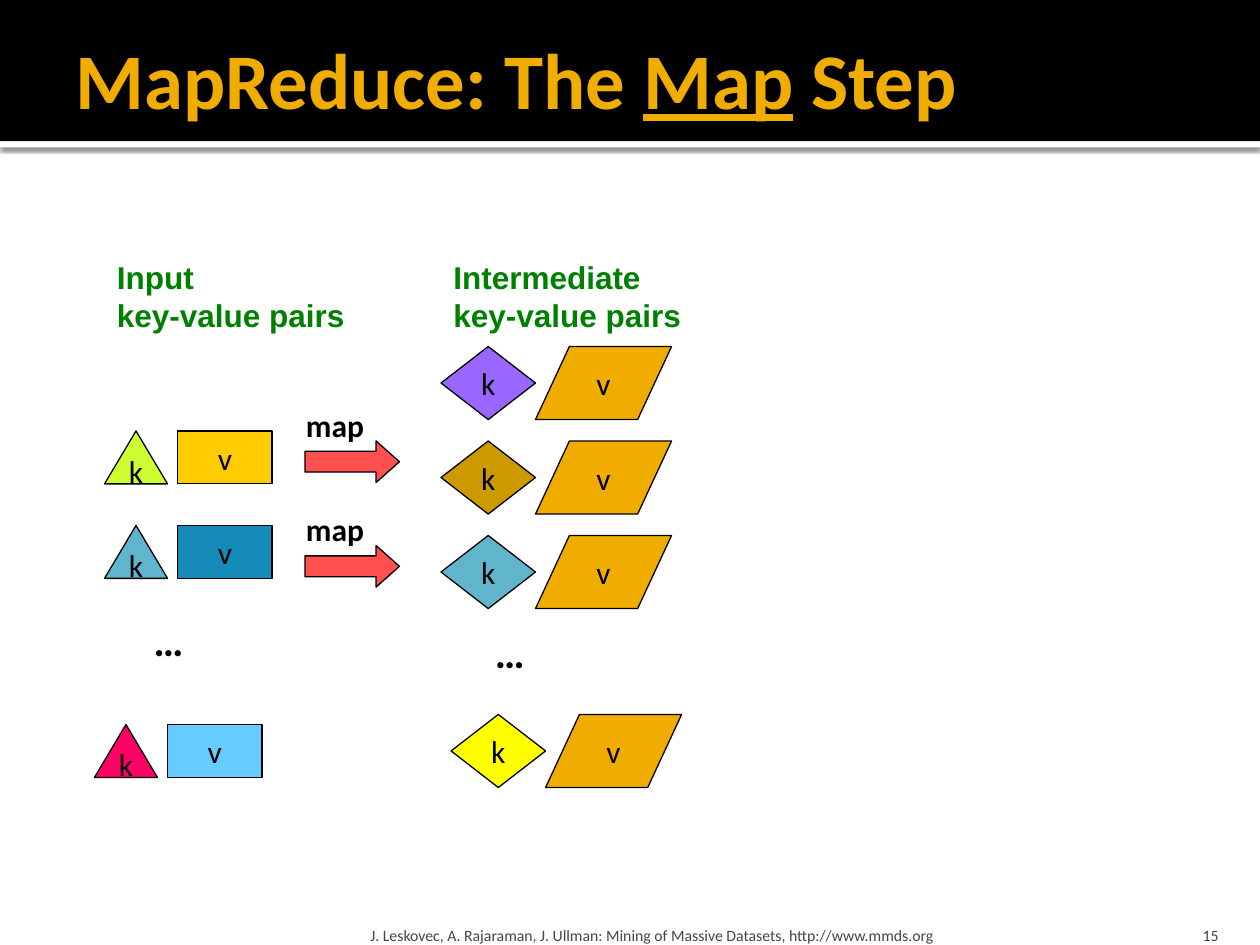
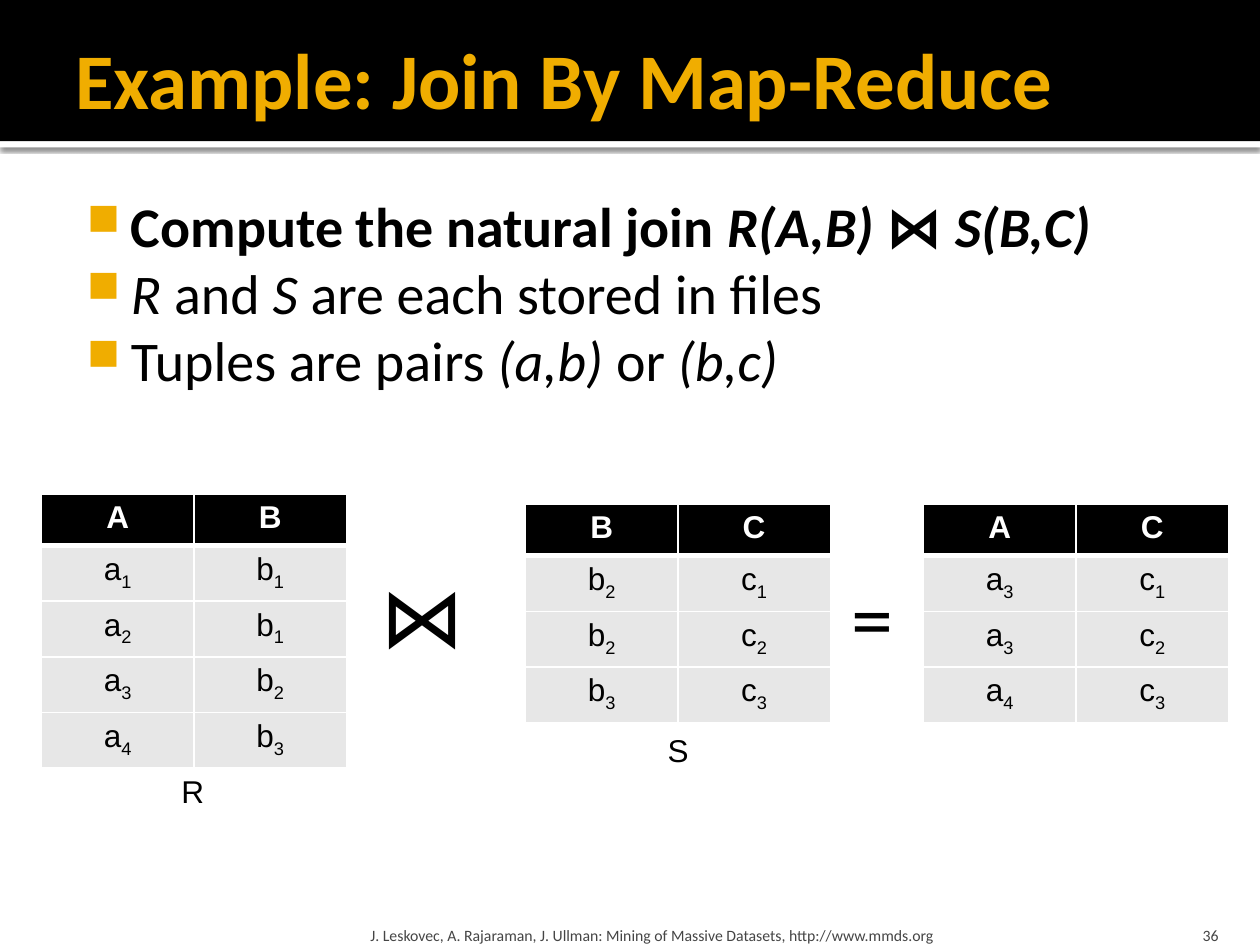
import pptx
import pptx.util
import pptx.dml.color
import pptx.enum.shapes
import pptx.enum.text
import pptx.oxml
import pptx.oxml.ns
import lxml.etree

Inches = pptx.util.Inches
Pt = pptx.util.Pt
SHAPE = pptx.enum.shapes.MSO_SHAPE
ALIGN = pptx.enum.text.PP_ALIGN
ANCHOR = pptx.enum.text.MSO_ANCHOR
qn = pptx.oxml.ns.qn

COLORS = {
    "black": "000000", "white": "FFFFFF", "gold": "F0AD00", "footer": "454545",
    "heading": "008000", "arrow": "FF5050", "cell": "E7E7E7", "lime": "CCFF33",
    "amber": "FFCC00", "teal": "60B5CC", "blue": "168BBA", "pink": "FF0066",
    "sky": "66CCFF", "violet": "9966FF", "ochre": "CC9900", "yellow": "FFFF00",
}
FOOTER = ("J. Leskovec, A. Rajaraman, J. Ullman: Mining of Massive Datasets, "
          "http://www.mmds.org")


def rgb(name):
    return pptx.dml.color.RGBColor.from_string(COLORS[name])


def add_xml(parent, tag, **attrs):
    return lxml.etree.SubElement(parent, qn(tag), attrs)


class Deck:
    def __init__(self):
        self.prs = pptx.Presentation()
        self.prs.slide_width = Inches(10)
        self.prs.slide_height = Inches(7.5)

    def slide(self, title, number):
        self.s = self.prs.slides.add_slide(self.prs.slide_layouts[6])
        stripe = self.shape(SHAPE.RECTANGLE, 0, 1.12, 10, 0.05, "white", line=False)
        effects = stripe._element.spPr.find(qn("a:effectLst"))
        shadow = add_xml(effects, "a:outerShdw", blurRad=str(Pt(2.5)),
                         dist=str(Pt(0.8)), dir="5400000", rotWithShape="0")
        color = add_xml(shadow, "a:srgbClr", val=COLORS["black"])
        add_xml(color, "a:alpha", val="60000")
        self.shape(SHAPE.RECTANGLE, 0, 0, 10, 1.12, "black", line=False)
        self.text([title], 0.5, 0.08, 9, 1.08, 45, "gold", bold=True, wrap=True,
                  anchor=ANCHOR.MIDDLE, insets=(0.1, 0.05, 0.05, 0.05))
        self.text([FOOTER], 2.89, 7.2, 6.02, 0.3, 9, "footer", wrap=True,
                  anchor=ANCHOR.BOTTOM, insets=(0.05, 0.05, 0.05, 0))
        self.text([number], 8.97, 7.2, 0.8, 0.3, 9, "footer", wrap=True,
                  anchor=ANCHOR.BOTTOM, insets=(0.1, 0.05, 0.1, 0), align=ALIGN.RIGHT)

    def font(self, r, size, color, face="Calibri", bold=False, marks=""):
        r.font.size = Pt(size)
        r.font.name = face
        r.font.color.rgb = rgb(color)
        r.font.bold = bold or "b" in marks
        r.font.italic = "i" in marks
        r.font.underline = "u" in marks

    def text(self, lines, x, y, w, h, size, color="black", face="Calibri", bold=False,
             wrap=False, anchor=ANCHOR.TOP, insets=None, align=ALIGN.LEFT):
        sp = self.s.shapes.add_textbox(Inches(x), Inches(y), Inches(w), Inches(h))
        tf = sp.text_frame
        tf.word_wrap = wrap
        tf.vertical_anchor = anchor
        if insets:
            (tf.margin_left, tf.margin_top,
             tf.margin_right, tf.margin_bottom) = map(Inches, insets)
        for i, line in enumerate(lines):
            p = tf.add_paragraph() if i else tf.paragraphs[0]
            p.alignment = align
            for words, marks in [(line, "")] if isinstance(line, str) else line:
                r = p.add_run()
                r.text = words
                self.font(r, size, color, face, bold, marks)
        return sp

    def bullets(self, lines, x, y, w, h, size):
        sp = self.text(lines, x, y, w, h, size, wrap=True, insets=(0.06, 0.1, 0.1, 0.05))
        for p in sp.text_frame.paragraphs:
            pPr = p._p.get_or_add_pPr()
            pPr.set("marL", str(Inches(0.48)))
            pPr.set("indent", str(Inches(-0.35)))
            add_xml(add_xml(pPr, "a:buClr"), "a:srgbClr", val=COLORS["gold"])
            add_xml(pPr, "a:buSzPct", val="80000")
            add_xml(pPr, "a:buChar", char="■")

    def shape(self, kind, x, y, w, h, fill, label="", line=True, adjust=()):
        sp = self.s.shapes.add_shape(kind, Inches(x), Inches(y), Inches(w), Inches(h))
        sp.shadow.inherit = False
        sp.fill.solid()
        sp.fill.fore_color.rgb = rgb(fill)
        if line:
            sp.line.color.rgb = rgb("black")
            sp.line.width = Pt(0.75)
        else:
            sp.line.fill.background()
        for i, value in enumerate(adjust):
            sp.adjustments[i] = value
        if label:
            tf = sp.text_frame
            tf.text = label
            tf.word_wrap = False
            tf.vertical_anchor = ANCHOR.MIDDLE
            p = tf.paragraphs[0]
            p.alignment = ALIGN.CENTER
            self.font(p.runs[0], 18, "black")
        return sp

    def input_pair(self, x, y, key_fill, value_fill):
        self.shape(SHAPE.ISOSCELES_TRIANGLE, x, y, 0.5, 0.42, key_fill, "k")
        self.shape(SHAPE.RECTANGLE, x + 0.58, y, 0.75, 0.42, value_fill, "v")

    def intermediate_pair(self, x, y, key_fill):
        self.shape(SHAPE.DIAMOND, x, y, 0.75, 0.58, key_fill, "k")
        self.shape(SHAPE.PARALLELOGRAM, x + 0.75, y, 1.08, 0.58, "gold", "v",
                   adjust=(0.464,))

    def map_arrow(self, y):
        self.text(["map"], 2.33, y, 0.69, 0.4, 18, bold=True)
        self.shape(SHAPE.RIGHT_ARROW, 2.42, y + 0.33, 0.75, 0.33, "arrow",
                   adjust=(0.5, 0.562))

    def borders(self, cell, top, bottom):
        tcPr = cell._tc.get_or_add_tcPr()
        sides = (("L", 1), ("R", 1), ("T", top), ("B", bottom))
        for i, (side, width) in enumerate(sides):
            ln = lxml.etree.Element(qn("a:ln" + side), {"w": str(Pt(width))})
            add_xml(add_xml(ln, "a:solidFill"), "a:srgbClr", val=COLORS["white"])
            tcPr.insert(i, ln)

    def relation(self, x, y, header, tuples, row_height=0.41):
        rows = [header.split()] + [t.split() for t in tuples]
        tbl = self.s.shapes.add_table(len(rows), 2, Inches(x), Inches(y), Inches(2.42),
                                      Inches(0.41 + row_height * len(tuples))).table
        tbl.first_row = tbl.horz_banding = False
        for i, row in enumerate(rows):
            tbl.rows[i].height = Inches(row_height if i else 0.41)
            for j, value in enumerate(row):
                cell = tbl.cell(i, j)
                cell.fill.solid()
                cell.fill.fore_color.rgb = rgb("cell" if i else "black")
                self.borders(cell, 3 if i == 1 else 1, 1 if i else 3)
                p = cell.text_frame.paragraphs[0]
                p.alignment = ALIGN.CENTER
                for char in value:
                    r = p.add_run()
                    r.text = char
                    self.font(r, 18, "black" if i else "white", "Arial", bold=i == 0)
                    if char.isdigit():
                        r.font._element.set("baseline", "-25000")


def map_step(deck):
    deck.slide([("MapReduce: The ", ""), ("Map", "u"), (" Step", "")], "15")
    for x, name in ((0.83, "Input"), (3.5, "Intermediate")):
        deck.text([name, "key-value pairs"], x, 2, 2.03, 0.71, 18, "heading", "Arial",
                  bold=True)
    deck.input_pair(0.83, 3.42, "lime", "amber")
    deck.input_pair(0.83, 4.17, "teal", "blue")
    deck.input_pair(0.75, 5.75, "pink", "sky")
    for y in (3.17, 4):
        deck.map_arrow(y)
    for i, fill in enumerate(("violet", "ochre", "teal")):
        deck.intermediate_pair(3.5, 2.75 + 0.75 * i, fill)
    deck.intermediate_pair(3.58, 5.67, "yellow")
    for x, y in ((1.12, 4.83), (3.83, 4.92)):
        deck.text(["…"], x, y, 0.55, 0.5, 24, bold=True)


def join_example(deck):
    deck.slide("Example: Join By Map-Reduce", "36")
    deck.bullets([
        [("Compute the natural join ", "b"), ("R(A,B) ", "bi"), ("⋈", "b"),
         (" S(B,C)", "bi")],
        [("R", "i"), (" and ", ""), ("S", "i"), (" are each stored in files", "")],
        [("Tuples are pairs ", ""), ("(a,b)", "i"), (" or ", ""), ("(b,c)", "i")],
    ], 0.5, 1.42, 9, 2.33, 32)
    deck.relation(0.33, 3.92, "A B", ("a1 b1", "a2 b1", "a3 b2", "a4 b3"))
    deck.relation(4.17, 4, "B C", ("b2 c1", "b2 c2", "b3 c3"))
    deck.relation(7.33, 4, "A C", ("a3 c1", "a3 c2", "a4 c3"), row_height=0.44)
    deck.text(["⋈"], 2.92, 4.42, 0.76, 0.91, 48)
    deck.text(["="], 6.66, 4.44, 0.55, 0.91, 48)
    deck.text(["R"], 1.34, 6.08, 0.38, 0.4, 18, face="Arial")
    deck.text(["S"], 5.2, 5.75, 0.38, 0.4, 18, face="Arial")


def main():
    deck = Deck()
    map_step(deck)
    join_example(deck)
    deck.prs.save("out.pptx")


if __name__ == "__main__":
    main()
